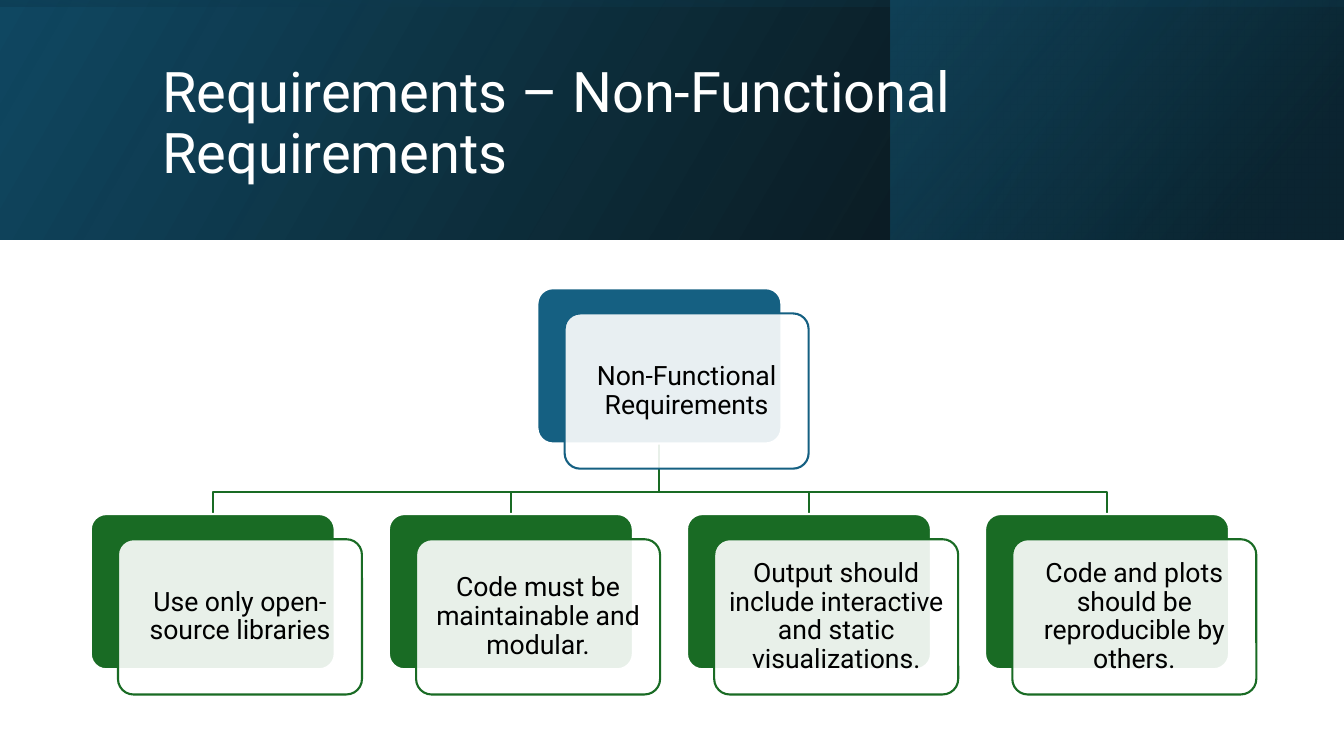
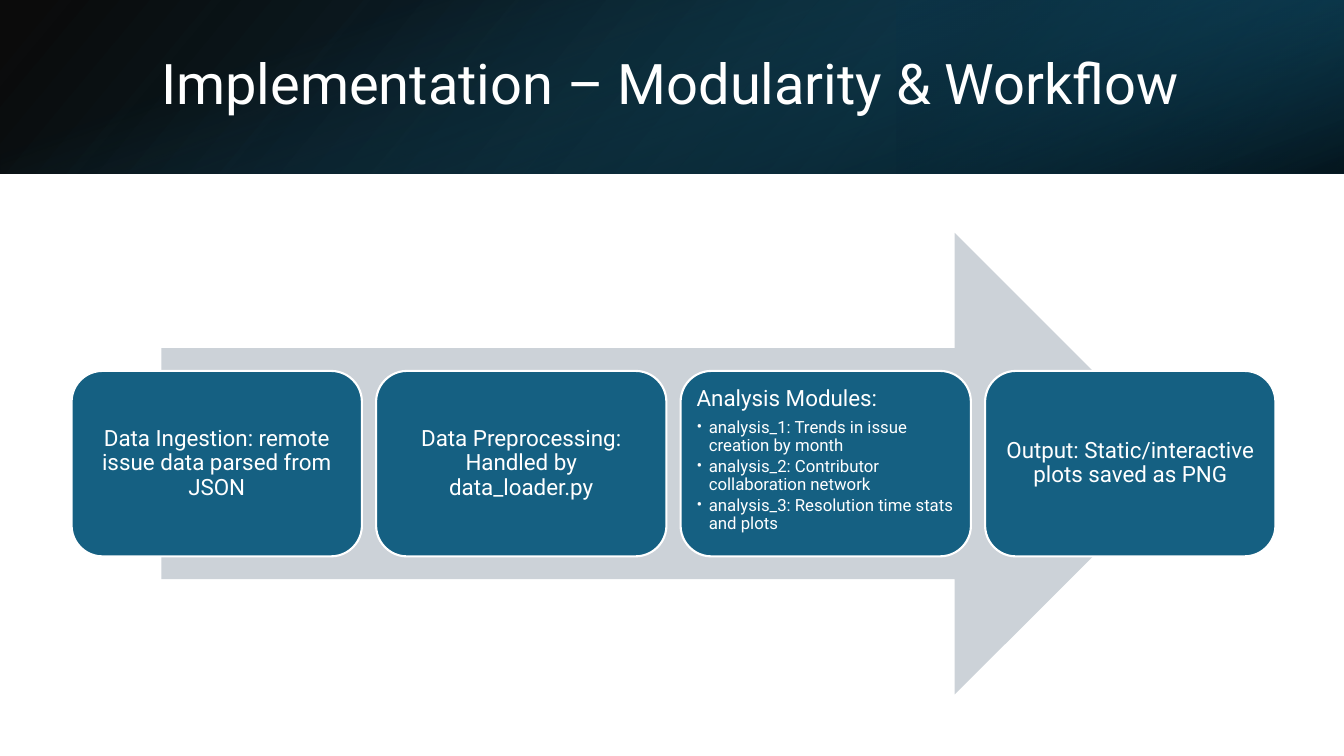
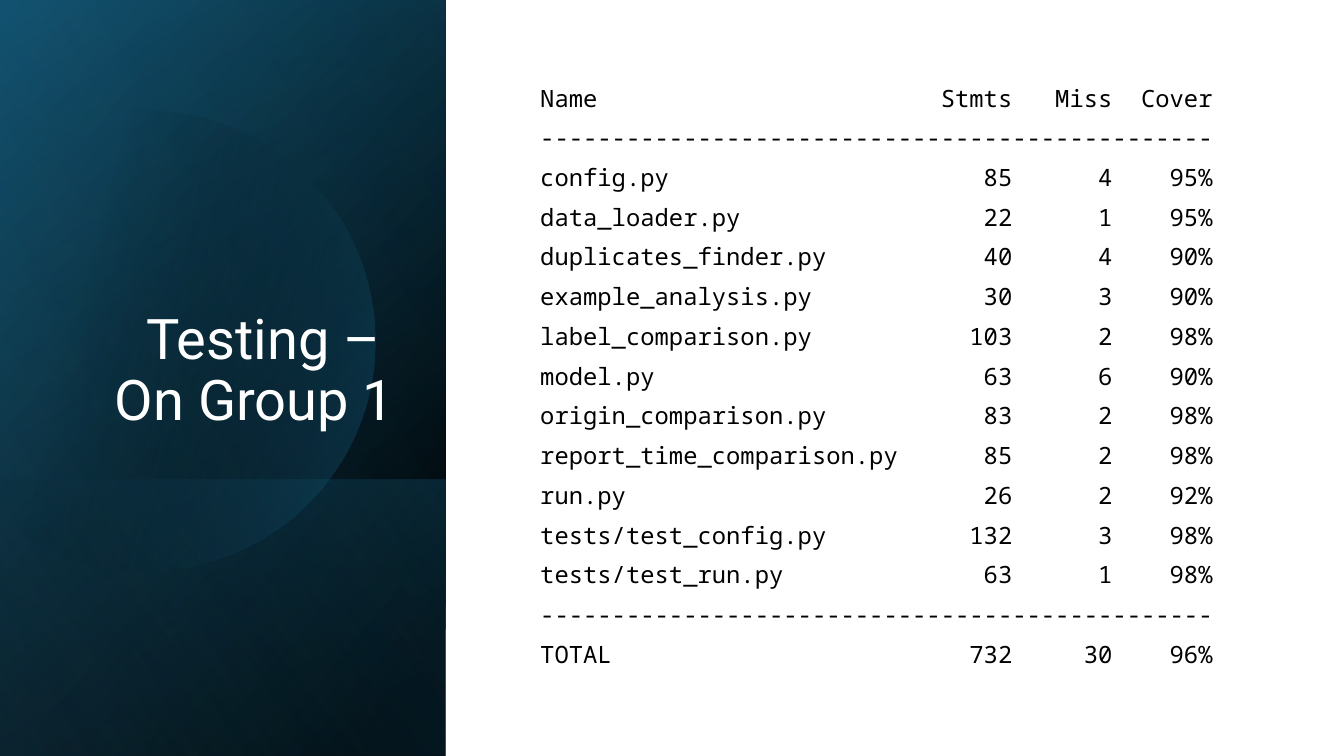
from dataclasses import dataclass
from typing import Optional

import lxml.etree
import pptx
import pptx.dml.color
import pptx.enum.shapes
import pptx.enum.text
import pptx.oxml.ns
import pptx.util

Inches = pptx.util.Inches
Pt = pptx.util.Pt
qn = pptx.oxml.ns.qn
SHAPE = pptx.enum.shapes.MSO_SHAPE
ALIGN = pptx.enum.text.PP_ALIGN
ANCHOR = pptx.enum.text.MSO_ANCHOR
Point = tuple[float, float]

# Shared style
SLIDE_W, SLIDE_H = 13.33, 7.5
WHITE, BLACK = "FFFFFF", "000000"
BLUE, NAVY, INK, SKY = "156082", "104862", "0B3041", "46B1E1"
GREEN, GREY = "196B24", "CCD2D8"
SANS, MONO = "Roboto", "Noto Sans Mono"
TITLE_SIZE = 40
LINE_W = 1.5


@dataclass
class Stop:
    """Gradient stop: position and opacity in percent."""
    pos: int
    color: str
    alpha: int = 100


@dataclass
class Gradient:
    """Two stops along a clockwise angle."""
    start: Stop
    end: Stop
    angle: int


@dataclass
class Band:
    """Gradient rectangle, placed as it appears after rotation."""
    left: float
    top: float
    width: float
    height: float
    gradient: Gradient
    rotation: int = 0
    flip: bool = True


@dataclass
class Title:
    text: str
    left: float
    top: float
    width: float
    height: float
    align: ALIGN = ALIGN.LEFT
    anchor: ANCHOR = ANCHOR.MIDDLE


@dataclass
class Step:
    text: str
    bullets: tuple[str, ...] = ()


@dataclass
class Segment:
    """Part of an outline: a cubic curve if it has controls, else a line."""
    end: Point
    controls: tuple[Point, ...] = ()


@dataclass
class Coverage:
    name: str
    stmts: str
    miss: str
    cover: str

    def line(self) -> str:
        return f"{self.name:<26}{self.stmts:>7}{self.miss:>7}{self.cover:>7}"


def rgb(color: str):
    return pptx.dml.color.RGBColor.from_string(color)


def set_alpha(color_element, percent: float) -> None:
    if percent < 100:
        alpha = lxml.etree.SubElement(color_element, qn("a:alpha"))
        alpha.set("val", str(int(percent * 1000)))


def set_gradient(sp, gradient: Gradient) -> None:
    sp.fill.gradient()
    sp.fill.gradient_angle = (360 - gradient.angle) % 360
    stops = (gradient.start, gradient.end)
    for target, stop in zip(sp.fill.gradient_stops, stops):
        target.color.rgb = rgb(stop.color)
        target.position = stop.pos / 100
    colors = sp._element.spPr.find(qn("a:gradFill")).iter(qn("a:srgbClr"))
    for element, stop in zip(list(colors), stops):
        set_alpha(element, stop.alpha)


def set_line(line, color: str) -> None:
    line.color.rgb = rgb(color)
    line.width = Pt(LINE_W)


def add_box(s, kind, left: float, top: float, width: float, height: float,
            fill: Optional[str] = None, line: Optional[str] = None, alpha: int = 100):
    sp = s.shapes.add_shape(kind, Inches(left), Inches(top), Inches(width), Inches(height))
    sp.shadow.inherit = False
    if fill:
        sp.fill.solid()
        sp.fill.fore_color.rgb = rgb(fill)
        set_alpha(sp._element.spPr.find(qn("a:solidFill")).find(qn("a:srgbClr")), alpha)
    if line:
        set_line(sp.line, line)
    else:
        sp.line.fill.background()
    return sp


def add_band(s, band: Band) -> None:
    w, h = band.width, band.height
    if band.rotation % 180:
        w, h = h, w
    left = band.left + (band.width - w) / 2
    top = band.top + (band.height - h) / 2
    sp = add_box(s, SHAPE.RECTANGLE, left, top, w, h)
    set_gradient(sp, band.gradient)
    sp.rotation = band.rotation
    if band.flip:
        sp._element.spPr.find(qn("a:xfrm")).set("flipH", "1")


def add_outline(s, points: list[Point], close: bool):
    emu = [(Inches(x), Inches(y)) for x, y in points]
    builder = s.shapes.build_freeform(*emu[0])
    builder.add_line_segments(emu[1:], close=close)
    sp = builder.convert_to_shape()
    sp.shadow.inherit = False
    return sp


def format_frame(tf, anchor: ANCHOR, inset_x: float = 0.1, inset_y: float = 0.05) -> None:
    tf.word_wrap = True
    tf.auto_size = pptx.enum.text.MSO_AUTO_SIZE.NONE
    tf.vertical_anchor = anchor
    tf.margin_left = tf.margin_right = Inches(inset_x)
    tf.margin_top = tf.margin_bottom = Inches(inset_y)


def format_paragraph(p, size: float, color: str, align: ALIGN, font: str = SANS) -> None:
    p.alignment = align
    p.line_spacing = 0.9
    for r in p.runs:
        r.font.size = Pt(size)
        r.font.name = font
        r.font.color.rgb = rgb(color)


def make_bullet(p, indent: float) -> None:
    p.level = 1
    pPr = p._p.get_or_add_pPr()
    pPr.set("marL", str(Inches(indent)))
    pPr.set("indent", str(-Inches(indent)))
    lxml.etree.SubElement(pPr, qn("a:buFont")).set("typeface", SANS)
    lxml.etree.SubElement(pPr, qn("a:buChar")).set("char", "•")


def add_title(s, title: Title) -> None:
    sp = s.shapes.title
    sp.left, sp.top = Inches(title.left), Inches(title.top)
    sp.width, sp.height = Inches(title.width), Inches(title.height)
    sp.text_frame.text = title.text
    format_frame(sp.text_frame, title.anchor)
    format_paragraph(sp.text_frame.paragraphs[0], TITLE_SIZE, WHITE, title.align)
    s.shapes._spTree.append(sp._element)  # in front of the bands


def new_slide(prs):
    return prs.slides.add_slide(prs.slide_layouts[5])


# Slide 1: requirement tree
CARD_W, CARD_H = 2.42, 1.54
SHIFT_X, SHIFT_Y = 0.27, 0.25
ROOT_LEFT, ROOT_TOP = 5.33, 2.86
LEAF_LEFT, LEAF_LAST, LEAF_TOP = 0.9, 9.77, 5.1
BUS_Y = 4.88
ROOT = "Non-Functional Requirements"
LEAVES = (
    "Use only open-source libraries",
    "Code must be maintainable and modular.",
    "Output should include interactive and static visualizations.",
    "Code and plots should be reproducible by others.",
)


def add_branch(s, root_x: float, leaf_x: float) -> None:
    sp = add_outline(s, [(root_x, ROOT_TOP + CARD_H), (root_x, BUS_Y),
                         (leaf_x, BUS_Y), (leaf_x, LEAF_TOP)], close=False)
    sp.fill.background()
    set_line(sp.line, GREEN)


def add_card(s, left: float, top: float, color: str, text: str) -> None:
    back = add_box(s, SHAPE.ROUNDED_RECTANGLE, left, top, CARD_W, CARD_H, color, WHITE)
    front = add_box(s, SHAPE.ROUNDED_RECTANGLE, left + SHIFT_X, top + SHIFT_Y,
                    CARD_W, CARD_H, WHITE, color, alpha=90)
    for sp in (back, front):
        sp.adjustments[0] = 0.1
    front.text_frame.text = text
    format_frame(front.text_frame, ANCHOR.MIDDLE, 0.08, 0.08)
    format_paragraph(front.text_frame.paragraphs[0], 19, BLACK, ALIGN.CENTER)


def build_requirements(prs) -> None:
    s = new_slide(prs)
    height = 2.38
    bands = (
        Band(0, 0, SLIDE_W, height, Gradient(Stop(0, BLACK, 96), Stop(100, NAVY), 330)),
        Band(8.83, 0, 4.5, height, Gradient(Stop(19, INK, 68), Stop(100, BLUE, 48), 320)),
        Band(0, 0, SLIDE_W, height, Gradient(Stop(23, NAVY, 16), Stop(99, BLACK, 45), 350), 270),
    )
    for band in bands:
        add_band(s, band)
    add_title(s, Title("Requirements – Non-Functional Requirements", 1.51, 0.38, 10.63, 1.72))

    # Branches behind the cards
    pitch = (LEAF_LAST - LEAF_LEFT) / (len(LEAVES) - 1)
    lefts = [LEAF_LEFT + i * pitch for i in range(len(LEAVES))]
    for left in reversed(lefts):
        add_branch(s, ROOT_LEFT + CARD_W / 2, left + CARD_W / 2)
    add_card(s, ROOT_LEFT, ROOT_TOP, BLUE, ROOT)
    for left, text in zip(lefts, LEAVES):
        add_card(s, left, LEAF_TOP, GREEN, text)


# Slide 2: workflow steps on an arrow
STEPS = (
    Step("Data Ingestion: remote issue data parsed from JSON"),
    Step("Data Preprocessing: Handled by data_loader.py"),
    Step("Analysis Modules:", (
        "analysis_1: Trends in issue creation by month",
        "analysis_2: Contributor collaboration network",
        "analysis_3: Resolution time stats and plots",
    )),
    Step("Output: Static/interactive plots saved as PNG"),
)


def add_step(s, step: Step, left: float) -> None:
    sp = add_box(s, SHAPE.ROUNDED_RECTANGLE, left, 3.68, 2.88, 1.84, BLUE, WHITE)
    tf = sp.text_frame
    tf.text = step.text
    format_frame(tf, ANCHOR.TOP if step.bullets else ANCHOR.MIDDLE, 0.07, 0.07)
    p = tf.paragraphs[0]
    format_paragraph(p, 16, WHITE, ALIGN.LEFT if step.bullets else ALIGN.CENTER)
    if step.bullets:
        p.space_after = Pt(5.6)
    for text in step.bullets:
        p = tf.add_paragraph()
        p.text = text
        make_bullet(p, 0.12)
        format_paragraph(p, 12, WHITE, ALIGN.LEFT)
        p.space_after = Pt(1.8)


def build_workflow(prs) -> None:
    s = new_slide(prs)
    height = 1.72
    bands = (
        Band(0, 0, SLIDE_W, height, Gradient(Stop(0, BLACK, 96), Stop(100, NAVY), 140)),
        Band(8.89, 0, 4.44, height, Gradient(Stop(19, INK, 68), Stop(100, BLUE, 79), 320), 180),
        Band(0, 0, SLIDE_W, height, Gradient(Stop(23, BLUE, 0), Stop(99, BLACK, 74), 340), 90, False),
    )
    for band in bands:
        add_band(s, band)
    add_title(s, Title("Implementation – Modularity & Workflow", 1.5, 0.38, 10.98, 0.96))
    add_box(s, SHAPE.RIGHT_ARROW, 1.6, 2.31, 10.16, 4.58, GREY)
    for i, step in enumerate(STEPS):
        add_step(s, step, 0.71 + i * 3.02)


# Slide 3: coverage report
PANEL_W = 4.42
RULE = "-" * 47
HEADER = Coverage("Name", "Stmts", "Miss", "Cover")
FILES = (
    Coverage("config.py", "85", "4", "95%"),
    Coverage("data_loader.py", "22", "1", "95%"),
    Coverage("duplicates_finder.py", "40", "4", "90%"),
    Coverage("example_analysis.py", "30", "3", "90%"),
    Coverage("label_comparison.py", "103", "2", "98%"),
    Coverage("model.py", "63", "6", "90%"),
    Coverage("origin_comparison.py", "83", "2", "98%"),
    Coverage("report_time_comparison.py", "85", "2", "98%"),
    Coverage("run.py", "26", "2", "92%"),
    Coverage("tests/test_config.py", "132", "3", "98%"),
    Coverage("tests/test_run.py", "63", "1", "98%"),
)
TOTAL = Coverage("TOTAL", "732", "30", "96%")

# Disc outline, cut off at the left
DISC_START = (1.49, 1.1)
DISC = (
    Segment((3.63, 2.75), ((2.46, 1.12), (3.35, 1.77))),
    Segment((2.07, 5.58), ((3.98, 3.97), (3.28, 5.23))),
    Segment((-0.03, 5.14), ((1.31, 5.8), (0.53, 5.61))),
    Segment((-0.15, 5.03)),
    Segment((-0.15, 1.75)),
    Segment((0, 1.61)),
    Segment((0.8, 1.19), ((0.23, 1.42), (0.5, 1.28))),
    Segment((1.49, 1.1), ((1.03, 1.13), (1.26, 1.1))),
)


def add_disc(s) -> None:
    points = [DISC_START] + [segment.end for segment in DISC]
    sp = add_outline(s, points, close=True)
    left = min(x for x, _ in points)
    top = min(y for _, y in points)
    # Turn the straight sides that have controls into curves
    sides = list(sp._element.spPr.iter(qn("a:lnTo")))
    for side, segment in zip(sides, DISC):
        if segment.controls:
            side.tag = qn("a:cubicBezTo")
            for i, (x, y) in enumerate(segment.controls):
                pt = lxml.etree.Element(qn("a:pt"))
                pt.set("x", str(Inches(x - left)))
                pt.set("y", str(Inches(y - top)))
                side.insert(i, pt)
    sp.line.fill.background()
    set_gradient(sp, Gradient(Stop(29, BLACK, 0), Stop(100, BLUE, 43), 14))


def build_testing(prs) -> None:
    s = new_slide(prs)
    under_disc = (
        Band(0, 0, PANEL_W, SLIDE_H, Gradient(Stop(8, BLACK), Stop(100, NAVY), 50), 90),
        Band(0, 0, PANEL_W, SLIDE_H, Gradient(Stop(0, BLACK, 0), Stop(99, BLUE, 46), 30), 90),
        Band(0, 4.76, PANEL_W, 2.74, Gradient(Stop(2, BLUE, 29), Stop(100, BLACK, 30), 130), 90),
    )
    for band in under_disc:
        add_band(s, band)
    add_disc(s)
    add_band(s, Band(0, 0, PANEL_W, SLIDE_H,
                     Gradient(Stop(0, BLACK, 0), Stop(99, SKY, 11), 120), 90))
    add_title(s, Title("Testing – \vOn Group 1", 0.51, 0.64, 3.5, 3.7, ALIGN.RIGHT, ANCHOR.BOTTOM))

    # Report text
    lines = [HEADER.line(), RULE, *(f.line() for f in FILES), RULE, TOTAL.line()]
    tf = s.shapes.add_textbox(Inches(5.26), Inches(0.71), Inches(7.17), Inches(6.07)).text_frame
    tf.text = "\n".join(lines)
    format_frame(tf, ANCHOR.MIDDLE)
    for i, p in enumerate(tf.paragraphs):
        format_paragraph(p, 17, BLACK, ALIGN.LEFT, MONO)
        if i:
            p.space_before = Pt(10)


def main() -> None:
    prs = pptx.Presentation()
    prs.slide_width, prs.slide_height = Inches(SLIDE_W), Inches(SLIDE_H)
    build_requirements(prs)
    build_workflow(prs)
    build_testing(prs)
    prs.save("out.pptx")


if __name__ == "__main__":
    main()
